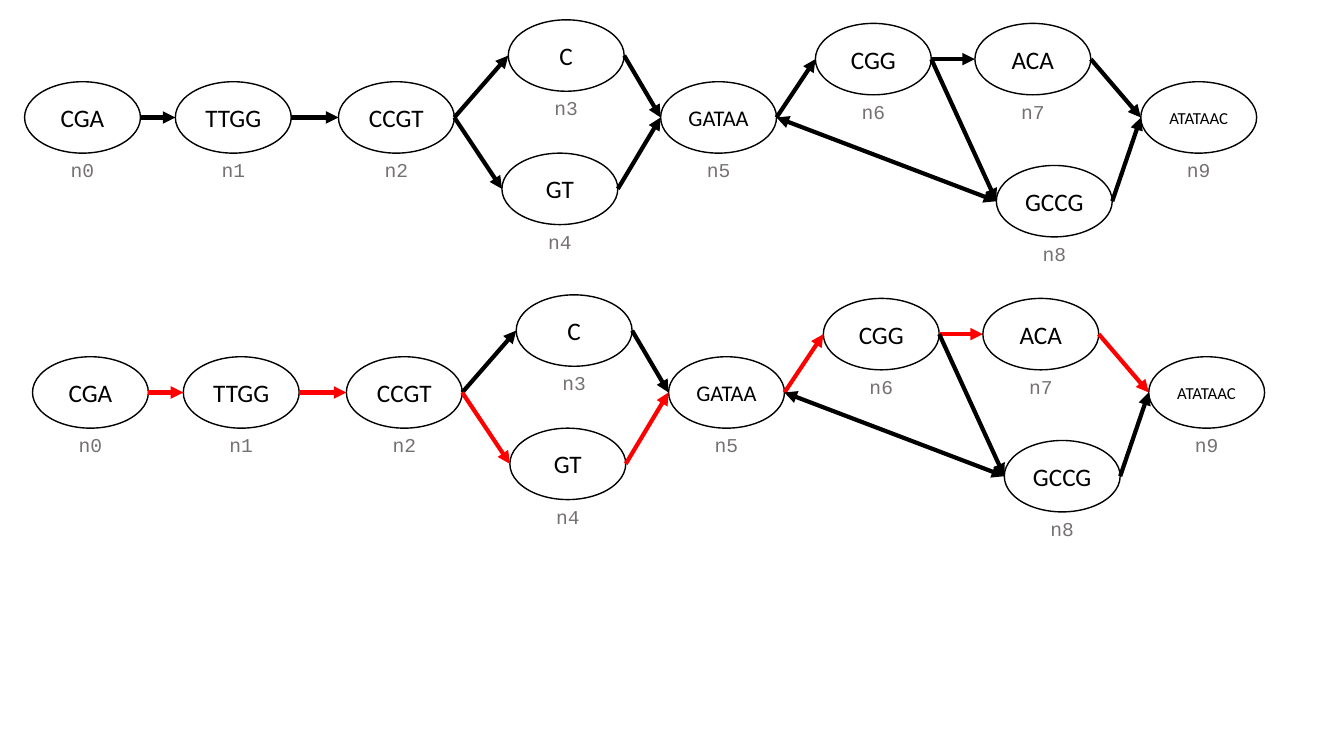
from lxml import etree
from pptx import Presentation
from pptx.dml.color import RGBColor
from pptx.enum import shapes, text
from pptx.oxml.ns import qn
from pptx.util import Cm, Pt

BLACK, WHITE, GREY, RED = "000000", "FFFFFF", "767171", "FF0000"
NODE_W, NODE_H = 2.92, 1.8
LABEL_W, LABEL_H = 2.51, 0.86
LEFT_SITE, RIGHT_SITE = 2, 6

NODES = [
    ("CGA", 0.62, 2.06, 18),
    ("TTGG", 4.42, 2.06, 18),
    ("CCGT", 8.53, 2.06, 18),
    ("C", 12.81, 0.5, 18),
    ("GT", 12.65, 3.86, 18),
    ("GATAA", 16.65, 2.06, 16),
    ("CGG", 20.55, 0.59, 18),
    ("ACA", 24.57, 0.59, 18),
    ("GCCG", 25.11, 4.17, 18),
    ("ATATAAC", 28.75, 2.06, 12),
]
EDGES = [(0, 1), (1, 2), (2, 3), (2, 4), (3, 5), (4, 5),
         (5, 6), (5, 8), (6, 7), (6, 8), (7, 9), (8, 9)]
TWO_WAY = {(5, 8)}
RED_WALK = [0, 1, 2, 4, 5, 6, 7, 9]


def rgb(value):
    """Return the colour for a hex string."""
    return RGBColor.from_string(value)


def write(tf, content, font, size, colour):
    """Put one centred run into a text frame."""
    p = tf.paragraphs[0]
    p.alignment = text.PP_ALIGN.CENTER
    r = p.add_run()
    r.text = content
    r.font.name = font
    r.font.size = Pt(size)
    r.font.color.rgb = rgb(colour)


def add_node(group, sequence, x, y, size):
    """Add an ellipse holding a sequence."""
    sp = group.shapes.add_shape(shapes.MSO_SHAPE.OVAL, Cm(x), Cm(y), Cm(NODE_W), Cm(NODE_H))
    sp.shadow.inherit = False
    sp.fill.solid()
    sp.fill.fore_color.rgb = rgb(WHITE)
    sp.line.color.rgb = rgb(BLACK)
    sp.line.width = Pt(1)
    tf = sp.text_frame
    tf.word_wrap = False
    tf.vertical_anchor = text.MSO_ANCHOR.MIDDLE
    write(tf, sequence, "Calibri", size, BLACK)
    return sp


def add_label(group, name, x, y):
    """Add the name below the node at the given place."""
    sp = group.shapes.add_textbox(Cm(x + (NODE_W - LABEL_W) / 2), Cm(y + NODE_H),
                                  Cm(LABEL_W), Cm(LABEL_H))
    tf = sp.text_frame
    tf.word_wrap = True
    tf.auto_size = text.MSO_AUTO_SIZE.SHAPE_TO_FIT_TEXT
    write(tf, name, "Courier New", 14, GREY)


def add_edge(group, source, target, colour, two_way):
    """Add an arrow glued to the right of one node and the left of another."""
    cxn = group.shapes.add_connector(
        shapes.MSO_CONNECTOR.STRAIGHT,
        source.left + source.width, source.top + source.height // 2,
        target.left, target.top + target.height // 2)
    cxn.line.color.rgb = rgb(colour)
    cxn.line.width = Pt(3)
    ln = cxn.line._get_or_add_ln()
    for tag in ("a:headEnd", "a:tailEnd") if two_way else ("a:tailEnd",):
        etree.SubElement(ln, qn(tag), type="triangle")
    etree.SubElement(cxn._element.spPr, qn("a:effectLst"))
    glue = cxn._element.find(".//" + qn("p:cNvCxnSpPr"))
    for tag, node, site in (("a:stCxn", source, RIGHT_SITE), ("a:endCxn", target, LEFT_SITE)):
        etree.SubElement(glue, qn(tag), id=str(node.shape_id), idx=str(site))


def add_graph(s, dx, dy, walk):
    """Add the whole sequence graph, shifted, with a walk in red."""
    group = s.shapes.add_group_shape()
    nodes = []
    for i, (sequence, x, y, size) in enumerate(NODES):
        nodes.append(add_node(group, sequence, x + dx, y + dy, size))
        add_label(group, f"n{i}", x + dx, y + dy)
    red_edges = set(zip(walk, walk[1:]))
    for edge in EDGES:
        start, end = edge
        colour = RED if edge in red_edges else BLACK
        add_edge(group, nodes[start], nodes[end], colour, edge in TWO_WAY)


def main():
    """Build the slide with the plain graph and the marked graph."""
    prs = Presentation()
    prs.slide_width, prs.slide_height = Cm(33.87), Cm(19.05)
    s = prs.slides.add_slide(prs.slide_layouts[6])
    add_graph(s, 0, 0, [])
    add_graph(s, 0.2, 6.93, RED_WALK)
    prs.save("out.pptx")


if __name__ == "__main__":
    main()
